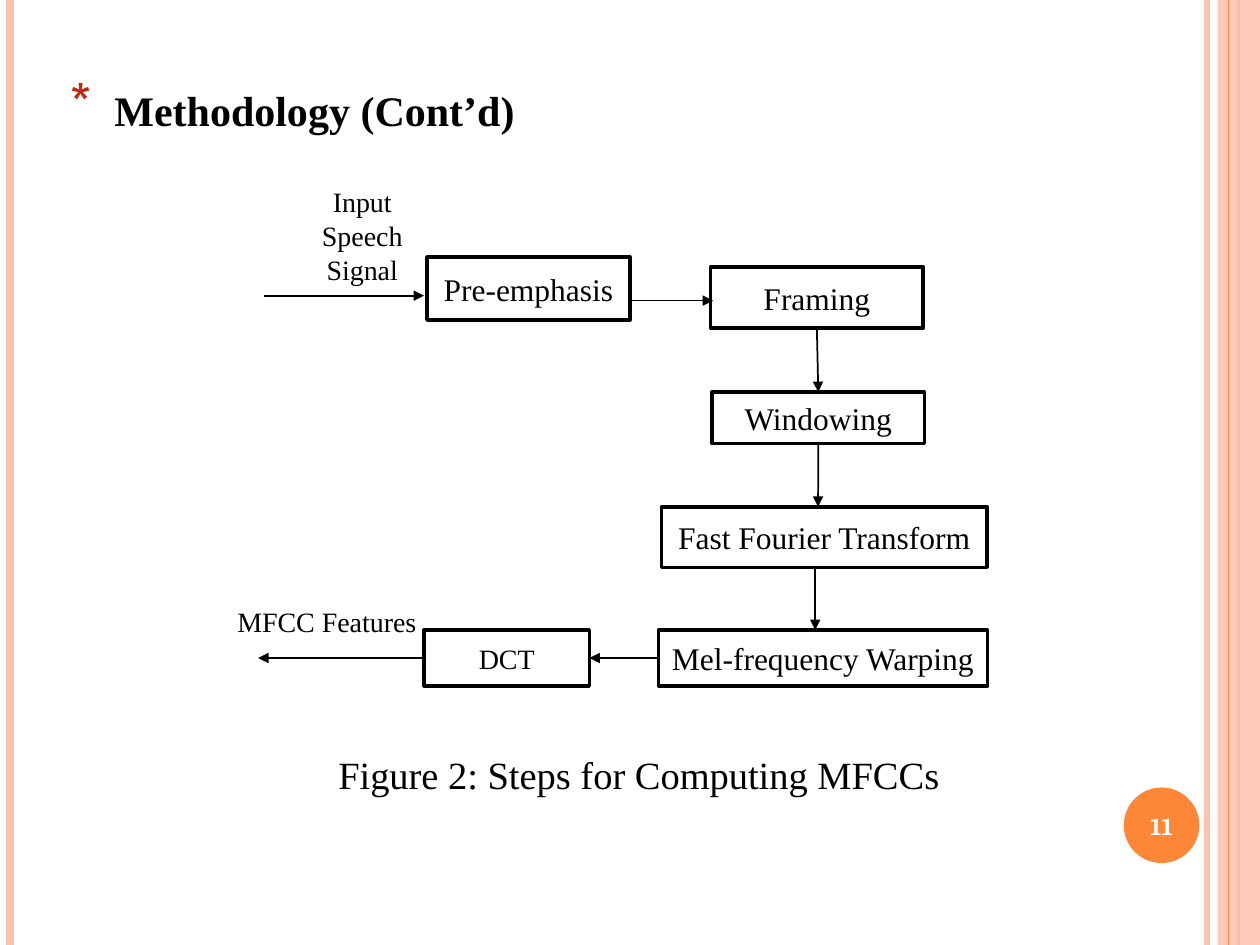
from lxml import etree
from pptx import Presentation
from pptx.dml.color import RGBColor
from pptx.enum.shapes import MSO_CONNECTOR as CONN, MSO_SHAPE as SHAPE
from pptx.enum.text import MSO_ANCHOR as ANCHOR, MSO_AUTO_SIZE as AUTO, PP_ALIGN as ALIGN
from pptx.oxml.ns import qn
from pptx.util import Pt

BLACK = RGBColor(0x00, 0x00, 0x00)
WHITE = RGBColor(0xFF, 0xFF, 0xFF)
PEACH = RGBColor(0xFE, 0xC3, 0xAE)
ORANGE = RGBColor(0xFE, 0x86, 0x37)
SERIF = "Times New Roman"


def put_text(sp, text, size=18, font=SERIF, color=BLACK, bold=False,
             align=ALIGN.CENTER, anchor=ANCHOR.TOP, wrap=True):
    tf = sp.text_frame
    tf.auto_size = AUTO.NONE
    tf.word_wrap = wrap
    tf.vertical_anchor = anchor
    p = tf.paragraphs[0]
    p.alignment = align
    r = p.add_run()
    r.text = text
    r.font.size, r.font.name, r.font.bold = Pt(size), font, bold
    r.font.color.rgb = color
    return p


def add_line(x1, y1, x2, y2, color=BLACK, width=1, arrow=False):
    c = s.shapes.add_connector(CONN.STRAIGHT, Pt(x1), Pt(y1), Pt(x2), Pt(y2))
    c.line.color.rgb = color
    c.line.width = Pt(width)
    if arrow:
        etree.SubElement(c.line._get_or_add_ln(), qn("a:tailEnd"), type="triangle")
    etree.SubElement(c._element.spPr, qn("a:effectLst"))
    return c


prs = Presentation()
prs.slide_width, prs.slide_height = Pt(720), Pt(540)
s = prs.slides.add_slide(prs.slide_layouts[5])

# Side stripes and number disc
for x, color, width in [(689.8, PEACH, 3), (5.8, PEACH, 4.5), (707.8, ORANGE, 1.5)]:
    add_line(x, 0, x, 540, color, width)
band = s.shapes.add_shape(SHAPE.RECTANGLE, Pt(696), Pt(0), Pt(24), Pt(540))
disc = s.shapes.add_shape(SHAPE.OVAL, Pt(642.2), Pt(450), Pt(43.2), Pt(43.2))
for sp, color in [(band, PEACH), (disc, ORANGE)]:
    sp.shadow.inherit = False
    sp.fill.solid()
    sp.fill.fore_color.rgb = color
    sp.line.fill.background()
etree.SubElement(band.fill._xPr.find(qn("a:solidFill"))[0], qn("a:alpha"), val="87000")
add_line(702, 0, 702, 540, ORANGE, 0.75)
put_text(disc, "11", size=14, font="Cambria", color=WHITE, bold=True,
         anchor=ANCHOR.MIDDLE, wrap=False)

# Title with a star bullet
title = s.shapes.title
title.left, title.top, title.width, title.height = Pt(33), Pt(44.6), Pt(512.6), Pt(90)
p = put_text(title, "Methodology (Cont’d)", size=24, bold=True, align=ALIGN.LEFT)
p.space_before = Pt(0)
pPr = p._p.get_or_add_pPr()
pPr.set("marL", str(Pt(25.2)))
pPr.set("indent", str(-Pt(25.2)))
etree.SubElement(etree.SubElement(pPr, qn("a:buClr")), qn("a:srgbClr"), val="C3260C")
etree.SubElement(pPr, qn("a:buSzPct"), val="128000")
etree.SubElement(pPr, qn("a:buChar"), char="*")

# Process boxes
steps = [
    ("Pre-emphasis", 244, 146.9, 116, 36, 18),
    ("Framing", 406, 152.7, 121.6, 34.8, 18),
    ("Windowing", 406.8, 224, 121.6, 29.4, 18),
    ("Fast Fourier Transform", 378, 289.6, 186, 34.6, 18),
    ("Mel-frequency Warping", 376.3, 360, 188, 32, 18),
    ("DCT", 242.4, 360, 94.4, 32, 16),
]
boxes = {}
for name, x, y, w, h, size in steps:
    sp = s.shapes.add_shape(SHAPE.RECTANGLE, Pt(x), Pt(y), Pt(w), Pt(h))
    sp.shadow.inherit = False
    sp.fill.solid()
    sp.fill.fore_color.rgb = WHITE
    sp.line.color.rgb = BLACK
    sp.line.width = Pt(2)
    put_text(sp, name, size=size, anchor=ANCHOR.MIDDLE, wrap=False)
    boxes[name] = sp

# Arrows: end points, then the box joined at the start and at the end
arrows = [
    (151, 169, 242.3, 169, None, None),
    (360, 171.8, 407.5, 171.8, None, None),
    (467.3, 187.5, 467.3, 224, ("Framing", 2), ("Windowing", 0)),
    (467.5, 253.4, 467.5, 289.6, ("Windowing", 2), None),
    (465.8, 324.2, 465.8, 360, None, None),
    (376.3, 376, 336.8, 376, ("Mel-frequency Warping", 1), ("DCT", 3)),
    (242.4, 376, 147.5, 376, ("DCT", 1), None),
]
for x1, y1, x2, y2, start, end in arrows:
    c = add_line(x1, y1, x2, y2, arrow=True)
    if start:
        c.begin_connect(boxes[start[0]], start[1])
    if end:
        c.end_connect(boxes[end[0]], end[1])

# Input and output labels, caption
for text, x, y, w, h, size in [
    ("Input Speech Signal", 159.1, 102.2, 95.8, 64.8, 16),
    ("MFCC Features", 102.2, 342, 169.2, 26, 16),
    ("Figure 2: Steps for Computing MFCCs", 165.6, 425.5, 398.9, 33, 22),
]:
    put_text(s.shapes.add_textbox(Pt(x), Pt(y), Pt(w), Pt(h)), text, size=size)

prs.save("out.pptx")
